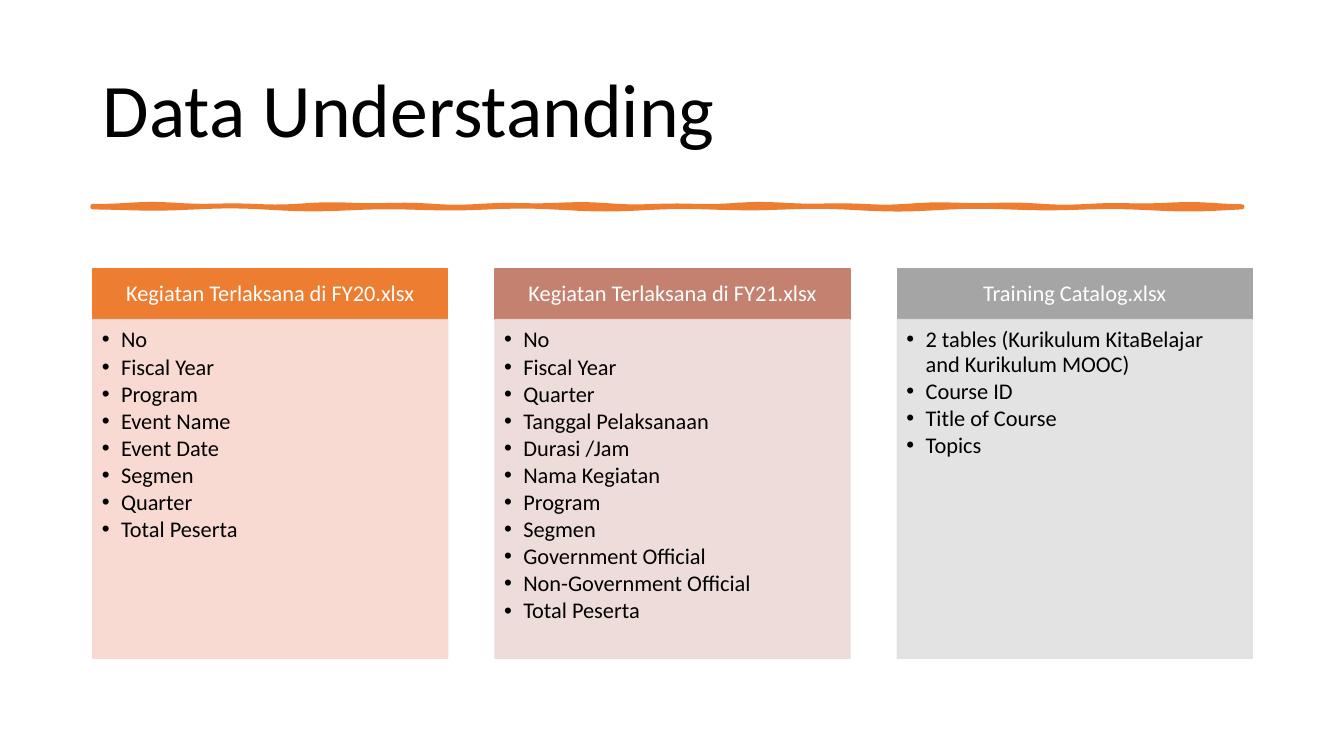
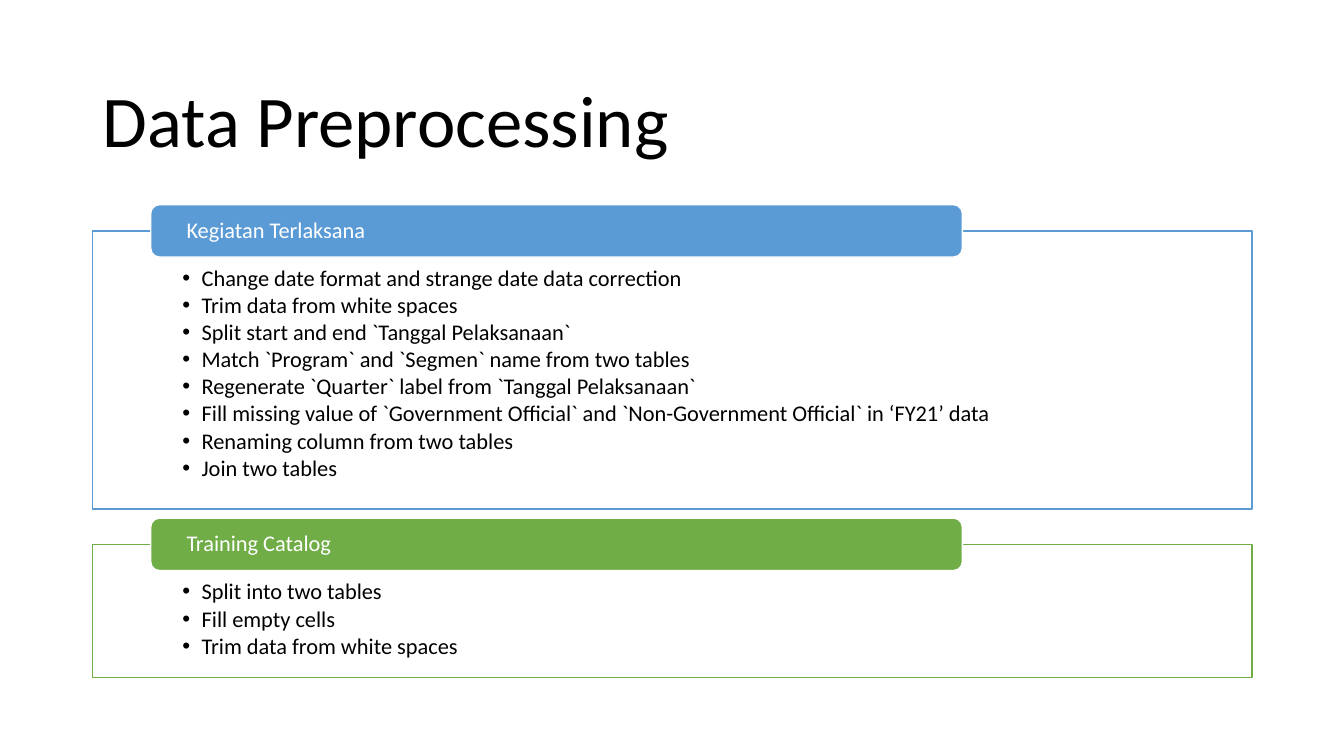
from dataclasses import dataclass
from math import sin

from lxml.etree import SubElement
from pptx import Presentation
from pptx.dml.color import RGBColor
from pptx.enum.shapes import MSO_SHAPE as SHAPE
from pptx.enum.text import MSO_ANCHOR as ANCHOR, MSO_AUTO_SIZE as FIT, PP_ALIGN as ALIGN
from pptx.oxml.ns import qn
from pptx.util import Inches, Pt


@dataclass(frozen=True)
class Theme:
    """Colours, type sizes and margins shared by the slides."""
    font: str = "Calibri"
    black: str = "000000"
    white: str = "FFFFFF"
    orange: str = "ED7D31"
    clay: str = "C48170"
    grey: str = "A5A5A5"
    orange_tint: str = "F8D7CE"
    clay_tint: str = "EDD9D7"
    grey_tint: str = "E1E1E1"
    blue: str = "5B9BD5"
    green: str = "70AD47"
    body: int = 16
    leading: float = 0.9
    item_gap: float = 2.1
    indent: float = 0.19
    left: float = 0.92
    width: float = 11.5


T = Theme()

TABLES = [
    ("Kegiatan Terlaksana di FY20.xlsx", T.orange, T.orange_tint,
     ["No", "Fiscal Year", "Program", "Event Name", "Event Date", "Segmen",
      "Quarter", "Total Peserta"]),
    ("Kegiatan Terlaksana di FY21.xlsx", T.clay, T.clay_tint,
     ["No", "Fiscal Year", "Quarter", "Tanggal Pelaksanaan", "Durasi /Jam",
      "Nama Kegiatan", "Program", "Segmen", "Government Official",
      "Non-Government Official", "Total Peserta"]),
    ("Training Catalog.xlsx", T.grey, T.grey_tint,
     ["2 tables (Kurikulum KitaBelajar and Kurikulum MOOC)", "Course ID",
      "Title of Course", "Topics"]),
]

STEPS = [
    ("Kegiatan Terlaksana", T.blue, 2.29, 2.76,
     ["Change date format and strange date data correction",
      "Trim data from white spaces",
      "Split start and end `Tanggal Pelaksanaan`",
      "Match `Program` and `Segmen` name from two tables",
      "Regenerate `Quarter` label from `Tanggal Pelaksanaan`",
      "Fill missing value of `Government Official` and "
      "`Non-Government Official` in ‘FY21’ data",
      "Renaming column from two tables",
      "Join two tables"]),
    ("Training Catalog", T.green, 5.4, 1.32,
     ["Split into two tables", "Fill empty cells", "Trim data from white spaces"]),
]


def rgb(color):
    """Turn a hex string into a colour."""
    return RGBColor.from_string(color)


def paint(sp, fill, line, width=1, alpha=None):
    """Give a shape its fill and line, optionally translucent."""
    sp.shadow.inherit = False
    sp.fill.solid()
    sp.fill.fore_color.rgb = rgb(fill)
    sp.line.color.rgb = rgb(line)
    sp.line.width = Pt(width)
    if alpha:
        for clr in sp._element.spPr.iter(qn("a:srgbClr")):
            SubElement(clr, qn("a:alpha")).set("val", str(alpha * 1000))


def add_box(slide, kind, box, fill, line, alpha=None):
    """Add a painted preset shape at box (left, top, width, height)."""
    sp = slide.shapes.add_shape(kind, *map(Inches, box))
    paint(sp, fill, line, alpha=alpha)
    return sp


def write(tf, lines, size, color, insets, anchor=ANCHOR.MIDDLE, align=ALIGN.LEFT,
          bullets=False):
    """Fill a text frame, one paragraph for each line."""
    tf.word_wrap = True
    tf.auto_size = FIT.NONE
    tf.vertical_anchor = anchor
    tf.margin_left, tf.margin_top, tf.margin_right, tf.margin_bottom = map(Inches, insets)
    for i, line in enumerate(lines):
        p = tf.add_paragraph() if i else tf.paragraphs[0]
        p.alignment = align
        p.line_spacing = T.leading
        r = p.add_run()
        r.text = line
        r.font.name = T.font
        r.font.size = Pt(size)
        r.font.color.rgb = rgb(color)
        if bullets:
            add_bullet(p)


def add_bullet(p):
    """Make a paragraph a hanging list item."""
    p.space_after = Pt(T.item_gap)
    pPr = p._p.get_or_add_pPr()
    pPr.set("marL", str(Inches(T.indent)))
    pPr.set("indent", str(-Inches(T.indent)))
    SubElement(pPr, qn("a:buFont")).set("typeface", "Arial")
    SubElement(pPr, qn("a:buChar")).set("char", "•")


def add_titled_slide(prs, title, top, height, size):
    """Add a title-only slide with its title in place."""
    slide = prs.slides.add_slide(prs.slide_layouts[5])
    sp = slide.shapes.title
    sp.left, sp.top, sp.width, sp.height = map(Inches, (T.left, top, T.width, height))
    write(sp.text_frame, [title], size, T.black, (0.1, 0.05, 0.1, 0.05))
    return slide


def add_brush_rule(slide, left, top, width, height):
    """Draw a wavering brush stroke across the box."""
    n = 114
    xs = [left + width * i / n for i in range(n + 1)]
    upper = [(x, top + 0.008 * sin(3.1 * x) + 0.006 * sin(7.3 * x)) for x in xs]
    lower = [(x, top + height + 0.01 * sin(4.3 * x + 1) + 0.006 * sin(2.3 * x))
             for x in xs]
    points = [(Inches(x), Inches(y)) for x, y in upper + lower[::-1]]
    builder = slide.shapes.build_freeform(*points[0])
    builder.add_line_segments(points[1:], close=True)
    sp = builder.convert_to_shape()
    paint(sp, T.orange, T.orange, 3.25)
    SubElement(sp.line._get_or_add_ln(), qn("a:round"))


def add_table_card(slide, box, heading, color, tint, items):
    """Add a coloured heading above a tinted list of columns."""
    left, top, width, height = box
    head = 0.5
    sp = add_box(slide, SHAPE.RECTANGLE, (left, top, width, head), color, color)
    write(sp.text_frame, [heading], T.body, T.white, (0.12, 0.07, 0.12, 0.07),
          align=ALIGN.CENTER)
    sp = add_box(slide, SHAPE.RECTANGLE, (left, top + head, width, height - head),
                 tint, tint, alpha=90)
    write(sp.text_frame, items, T.body, T.black, (0.09, 0.09, 0.12, 0.14),
          ANCHOR.TOP, bullets=True)


def add_step_panel(slide, box, heading, color, items):
    """Add an outlined list with a rounded tab across its top edge."""
    left, top, width, _ = box
    tab = 0.52
    sp = add_box(slide, SHAPE.RECTANGLE, box, T.white, color)
    write(sp.text_frame, items, T.body, T.black, (0.89, 0.36, 0.89, 0.12),
          ANCHOR.TOP, bullets=True)
    sp = add_box(slide, SHAPE.ROUNDED_RECTANGLE,
                 (left + 0.05 * width, top - tab / 2, 0.7 * width, tab), color, T.white)
    write(sp.text_frame, [heading], T.body, T.white, (0.33, 0, 0.33, 0))


def build_understanding(prs):
    """Build the slide of source tables."""
    slide = add_titled_slide(prs, "Data Understanding", 0.4, 1.45, 54)
    add_brush_rule(slide, T.left, 2.04, 11.4, 0.02)
    card = 3.52
    step = (T.width - card) / (len(TABLES) - 1)
    for i, table in enumerate(TABLES):
        add_table_card(slide, (T.left + i * step, 2.67, card, 3.86), *table)


def build_preprocessing(prs):
    """Build the slide of cleaning steps."""
    slide = add_titled_slide(prs, "Data Preprocessing", 0.61, 1.24, 52)
    for heading, color, top, height, items in STEPS:
        add_step_panel(slide, (T.left, top, T.width, height), heading, color, items)


def main():
    """Build and save the presentation."""
    prs = Presentation()
    prs.slide_width, prs.slide_height = Inches(13.33), Inches(7.5)
    build_understanding(prs)
    build_preprocessing(prs)
    prs.save("out.pptx")


if __name__ == "__main__":
    main()
